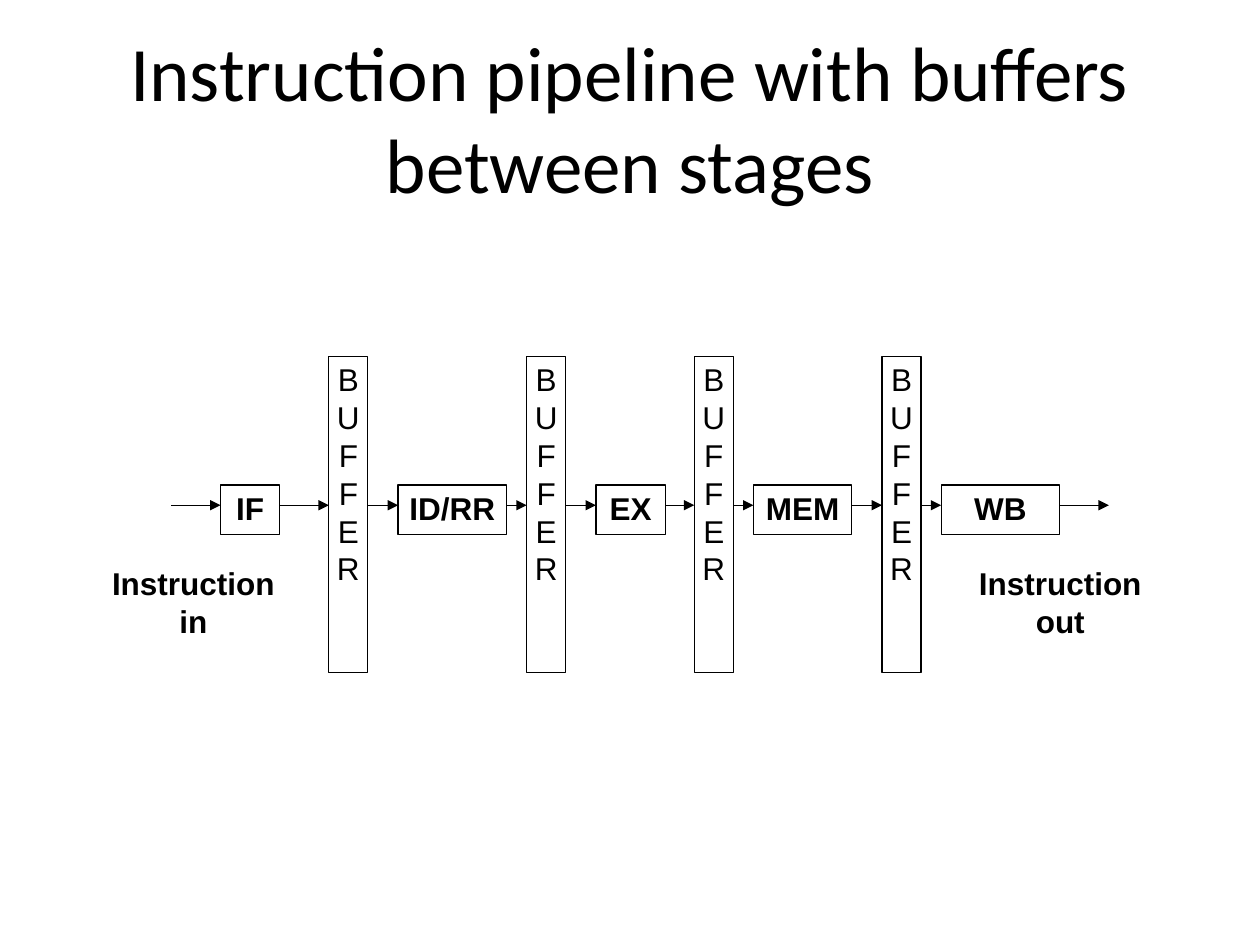
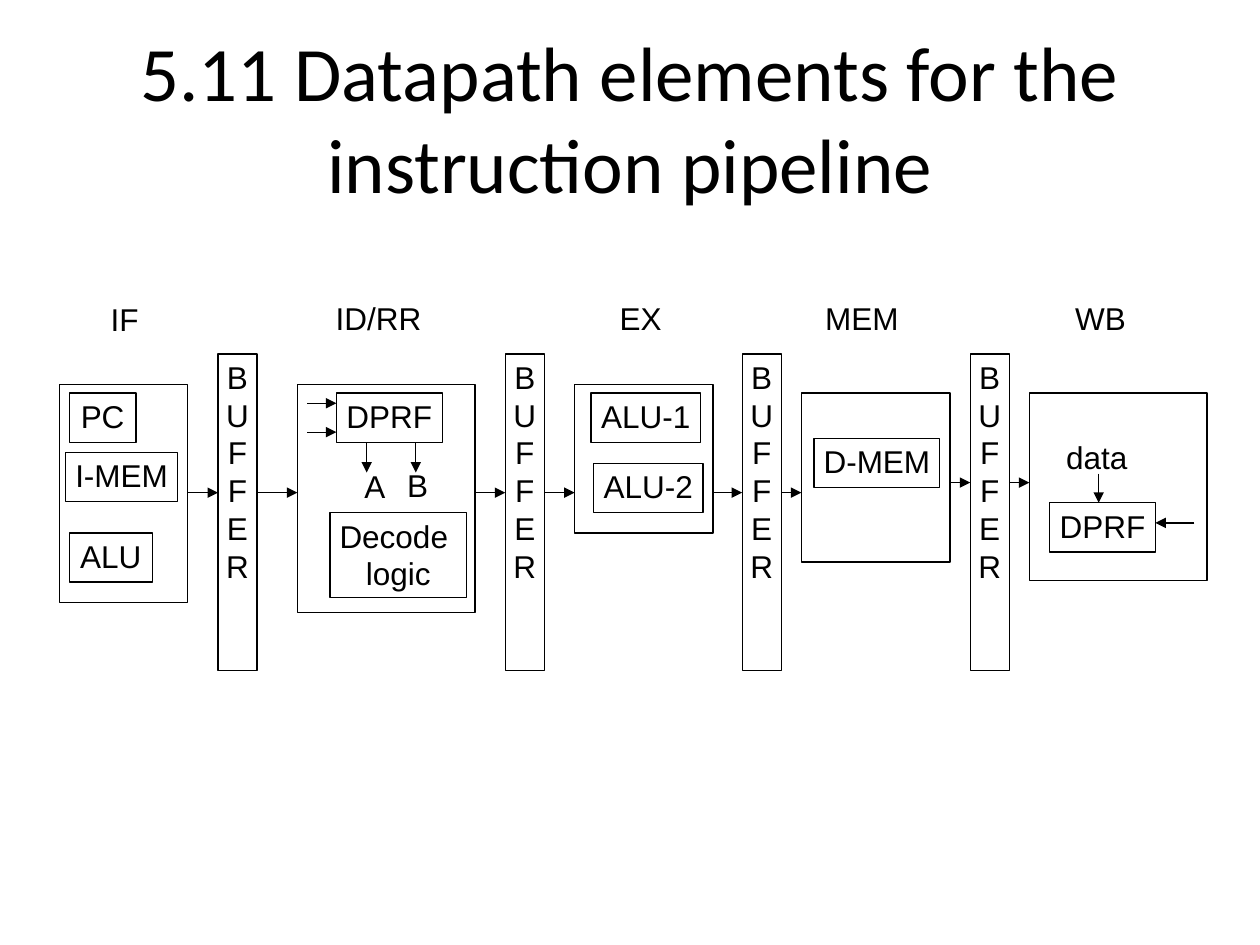
from dataclasses import dataclass
from itertools import pairwise

from lxml.etree import SubElement
from pptx import Presentation
from pptx.dml.color import RGBColor
from pptx.enum.shapes import MSO_CONNECTOR as Connector, MSO_SHAPE as Preset
from pptx.enum.text import MSO_ANCHOR as Anchor, PP_ALIGN as Align
from pptx.oxml.ns import qn
from pptx.slide import Slide
from pptx.util import Inches, Pt


@dataclass(frozen=True)
class Theme:
    ink: RGBColor = RGBColor(0, 0, 0)
    title_font: str = "Calibri"
    body_font: str = "Arial"
    title_size: Pt = Pt(44)
    body_size: Pt = Pt(18)
    body_leading: Pt = Pt(21.6)
    line_width: Pt = Pt(0.75)
    inset_x: Inches = Inches(0.06)
    inset_y: Inches = Inches(0.03)


@dataclass(frozen=True)
class Box:
    left: float
    top: float
    width: float
    height: float
    text: str = ""
    bold: bool = False
    outlined: bool = True

    @property
    def right(self) -> float:
        return self.left + self.width


@dataclass(frozen=True)
class Arrow:
    start_x: float
    start_y: float
    end_x: float
    end_y: float


THEME = Theme()
TITLE_ONLY = 5
UNIT_HEIGHT = 0.39
LABEL_HEIGHT = 0.38


def buffer(left: float, top: float) -> Box:
    return Box(left, top, 0.31, 2.51, "\n".join("BUFFER"))


def unit(text: str, left: float, top: float, width: float, bold: bool = False) -> Box:
    return Box(left, top, width, UNIT_HEIGHT, text, bold)


def label(text: str, left: float, top: float, width: float) -> Box:
    return Box(left, top, width, LABEL_HEIGHT, text, outlined=False)


def interleave(stages: list[Box], buffers: list[Box]) -> list[Box]:
    chain = stages[:1]
    for buffer_box, stage in zip(buffers, stages[1:]):
        chain += [buffer_box, stage]
    return chain


def links(chain: list[Box], y: float) -> list[Arrow]:
    return [Arrow(a.right, y, b.left, y) for a, b in pairwise(chain)]


def add_title_slide(presentation: Presentation, text: str) -> Slide:
    slide = presentation.slides.add_slide(presentation.slide_layouts[TITLE_ONLY])
    title = slide.shapes.title
    title.left, title.top = Inches(0.5), Inches(0.3)
    title.width, title.height = Inches(9), Inches(1.25)
    frame = title.text_frame
    frame.text = text
    frame.vertical_anchor = Anchor.MIDDLE
    paragraph = frame.paragraphs[0]
    paragraph.alignment = Align.CENTER
    font = paragraph.runs[0].font
    font.name, font.size = THEME.title_font, THEME.title_size
    font.color.rgb = THEME.ink
    return slide


def draw_box(slide: Slide, box: Box) -> None:
    bounds = [Inches(n) for n in (box.left, box.top, box.width, box.height)]
    if box.outlined:
        shape = slide.shapes.add_shape(Preset.RECTANGLE, *bounds)
        shape.shadow.inherit = False
        shape.fill.background()
        shape.line.color.rgb = THEME.ink
        shape.line.width = THEME.line_width
    else:
        shape = slide.shapes.add_textbox(*bounds)
    if not box.text:
        return
    frame = shape.text_frame
    frame.text = box.text
    frame.word_wrap = False
    frame.vertical_anchor = Anchor.TOP
    frame.margin_left = frame.margin_right = THEME.inset_x
    frame.margin_top = frame.margin_bottom = THEME.inset_y
    for paragraph in frame.paragraphs:
        paragraph.alignment = Align.CENTER
        paragraph.line_spacing = THEME.body_leading
        for run in paragraph.runs:
            run.font.name, run.font.size = THEME.body_font, THEME.body_size
            run.font.bold = box.bold
            run.font.color.rgb = THEME.ink


def draw_arrow(slide: Slide, arrow: Arrow) -> None:
    connector = slide.shapes.add_connector(
        Connector.STRAIGHT,
        Inches(arrow.start_x),
        Inches(arrow.start_y),
        Inches(arrow.end_x),
        Inches(arrow.end_y),
    )
    connector.line.color.rgb = THEME.ink
    connector.line.width = THEME.line_width
    properties = connector.element.spPr
    SubElement(properties.find(qn("a:ln")), qn("a:tailEnd"), type="triangle")
    SubElement(properties, qn("a:effectLst"))


def draw_diagram(slide: Slide, boxes: list[Box], arrows: list[Arrow]) -> None:
    for box in boxes:
        draw_box(slide, box)
    for arrow in arrows:
        draw_arrow(slide, arrow)


def build_pipeline(presentation: Presentation) -> None:
    slide = add_title_slide(
        presentation, "Instruction pipeline with buffers between stages"
    )
    flow_y, reach = 4.01, 0.39
    stages = [
        unit(text, left, 3.85, width, bold=True)
        for text, left, width in (
            ("IF", 1.75, 0.47),
            ("ID/RR", 3.16, 0.86),
            ("EX", 4.73, 0.55),
            ("MEM", 5.98, 0.78),
            ("WB", 7.47, 0.94),
        )
    ]
    buffers = [buffer(left, 2.83) for left in (2.61, 4.18, 5.51, 7)]
    chain = interleave(stages, buffers)
    captions = [
        Box(0.67, 4.45, 1.73, 0.71, "Instruction\nin", bold=True, outlined=False),
        Box(7.47, 4.45, 1.89, 0.71, "Instruction\nout", bold=True, outlined=False),
    ]
    first, last = chain[0], chain[-1]
    ends = [
        Arrow(first.left - reach, flow_y, first.left, flow_y),
        Arrow(last.right, flow_y, last.right + reach, flow_y),
    ]
    draw_diagram(slide, chain + captions, links(chain, flow_y) + ends)


def build_datapath(presentation: Presentation) -> None:
    slide = add_title_slide(
        presentation, "5.11 Datapath elements for the instruction pipeline"
    )
    stages = [
        Box(0.47, 3.05, 1.02, 1.73),
        Box(2.36, 3.05, 1.41, 1.81),
        Box(4.56, 3.05, 1.1, 1.18),
        Box(6.36, 3.12, 1.18, 1.34),
        Box(8.17, 3.12, 1.41, 1.49),
    ]
    buffers = [buffer(left, 2.81) for left in (1.73, 4.01, 5.89, 7.7)]
    chain = interleave(stages, buffers)
    units = [
        unit("PC", 0.55, 3.12, 0.53),
        unit("I-MEM", 0.52, 3.59, 0.89),
        unit("ALU", 0.55, 4.23, 0.66),
        unit("DPRF", 2.67, 3.12, 0.84),
        Box(2.62, 4.07, 1.08, 0.67, "Decode \nlogic"),
        unit("ALU-1", 4.69, 3.12, 0.87),
        unit("ALU-2", 4.71, 3.68, 0.87),
        unit("D-MEM", 6.46, 3.48, 1),
        unit("DPRF", 8.33, 3.99, 0.84),
    ]
    labels = [
        label("IF", 0.79, 2.35, 0.4),
        label("ID/RR", 2.59, 2.34, 0.83),
        label("EX", 4.67, 2.34, 0.83),
        label("MEM", 6.47, 2.34, 0.74),
        label("WB", 8.45, 2.34, 0.57),
        label("A", 2.8, 3.68, 0.35),
        label("B", 3.14, 3.67, 0.35),
        label("data", 8.38, 3.45, 0.65),
    ]
    register_inputs = [Arrow(2.44, y, 2.67, y) for y in (3.2, 3.43)]
    register_outputs = [Arrow(x, 3.51, x, 3.75) for x in (2.91, 3.3)]
    write_back = [Arrow(8.72, 3.76, 8.72, 3.99), Arrow(9.48, 4.15, 9.17, 4.15)]
    flow = links(chain[:7], 3.91) + links(chain[6:], 3.83)
    draw_diagram(
        slide,
        chain + units + labels,
        flow + register_inputs + register_outputs + write_back,
    )


def main() -> None:
    presentation = Presentation()
    presentation.slide_width = Inches(10)
    presentation.slide_height = Inches(7.5)
    build_pipeline(presentation)
    build_datapath(presentation)
    presentation.save("out.pptx")


if __name__ == "__main__":
    main()
